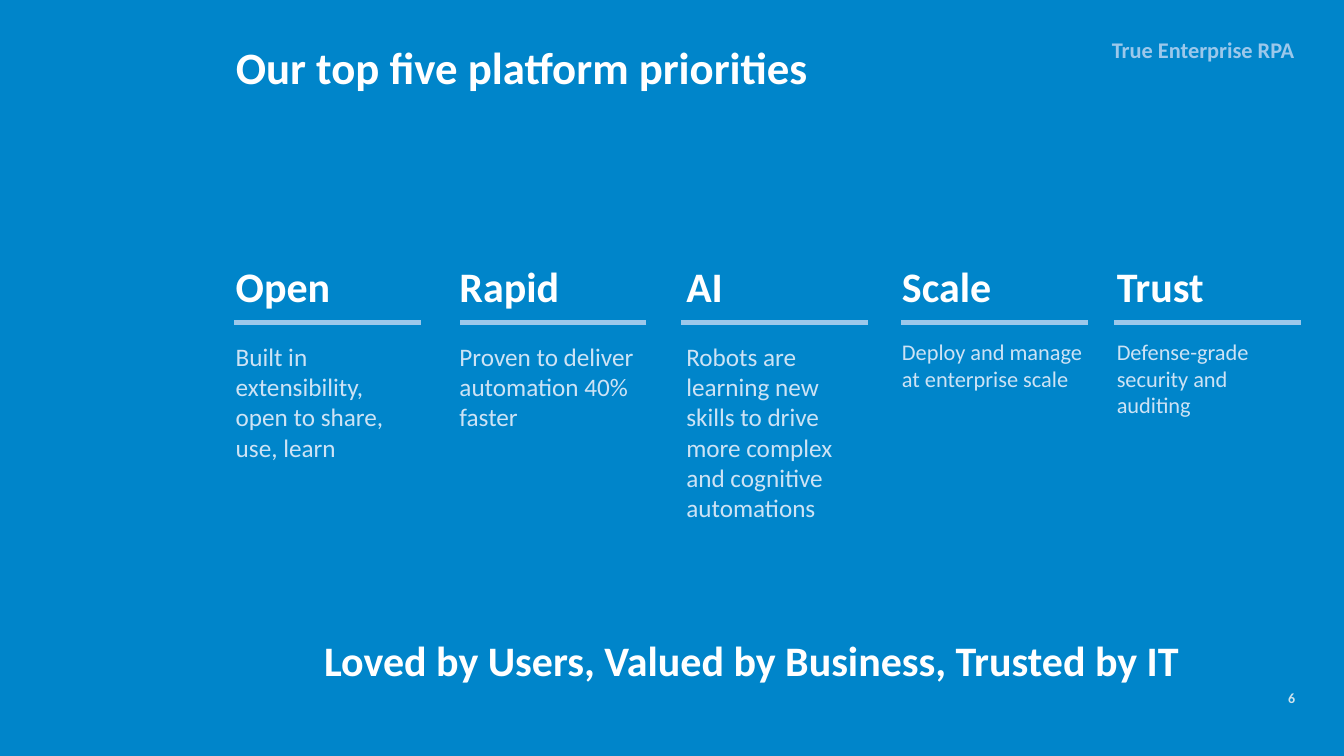
from dataclasses import dataclass
from lxml.etree import SubElement as Sub
from pptx import Presentation
from pptx.dml.color import RGBColor as RGB
from pptx.enum.shapes import MSO_CONNECTOR as Conn
from pptx.enum.text import MSO_ANCHOR as Anchor, PP_ALIGN as Align
from pptx.oxml.ns import qn
from pptx.util import Pt

TITLE = "Our top five platform priorities"
TAG = "True Enterprise RPA"
CLAIM = "Loved by Users, Valued by Business, Trusted by IT"
PAGE = "6"
COLS = [
    ("Open", ["Built in extensibility, open to share, use, learn"], 18, 161.3, 140.4, 167),
    ("Rapid", ["Proven to deliver automation 40% faster"], 18, 321.1, 149.8, 328.3),
    ("AI", ["Robots are learning new",
            "skills to drive more complex and cognitive automations"], 18, 483.1, 149.8, 486.7),
    ("Scale", ["Deploy and manage at enterprise scale"], 16, 637.2, 151.9, 643.7),
    ("Trust", ["Defense-grade security and auditing"], 16, 790.6, 140.4, 795.6),
]


@dataclass(frozen=True)
class Theme:
    font: str = "Calibri"
    back: str = "0085CA"
    white: str = "FFFFFF"
    rule: str = "9CC8EB"
    body: str = "CDE3F5"
    page: str = "CEE3ED"
    title: int = 32
    head: int = 30
    tag: int = 16
    num: int = 10


T = Theme()
TOP, TALL = 182.2, 152.6
RULE_Y, RULE_W = 230.4, 133.4
LINE = 1.22


def add_run(para, text, size, color, bold=True):
    run = para.add_run()
    run.text = text
    font = run.font
    font.name, font.size, font.bold = T.font, Pt(size), bold
    font.color.rgb = RGB.from_string(color)


def add_box(slide, left, top, width, height):
    frame = slide.shapes.add_textbox(Pt(left), Pt(top), Pt(width), Pt(height)).text_frame
    frame.word_wrap = True
    return frame


def add_label(slide, text, spot, size, color, align):
    frame = add_box(slide, *spot)
    para = frame.paragraphs[0]
    para.alignment = align
    add_run(para, text, size, color)
    return frame


def add_title(slide):
    shape = slide.shapes.title
    shape.left, shape.top, shape.width, shape.height = map(Pt, (161.3, 28.8, 567.4, 42.5))
    frame = shape.text_frame
    frame.word_wrap = True
    frame.vertical_anchor = Anchor.TOP
    para = frame.paragraphs[0]
    para.alignment, para.line_spacing = Align.LEFT, 0.9
    add_run(para, TITLE, T.title, T.white)


def add_rule(slide, left):
    rule = slide.shapes.add_connector(
        Conn.STRAIGHT, Pt(left + RULE_W), Pt(RULE_Y), Pt(left), Pt(RULE_Y))
    rule.line.color.rgb = RGB.from_string(T.rule)
    rule.line.width = Pt(3)
    Sub(rule._element.spPr, qn("a:effectLst"))


def add_col(slide, head, lines, size, left, width, start):
    add_rule(slide, start)
    frame = add_box(slide, left, TOP, width, TALL)
    add_run(frame.paragraphs[0], head, T.head, T.white)
    para = frame.add_paragraph()
    para.space_before = Pt(round(size * LINE, 1))
    for i, line in enumerate(lines):
        if i:
            para.add_line_break()
        add_run(para, line, size, T.body, False)


def main():
    deck = Presentation()
    deck.slide_width, deck.slide_height = Pt(960), Pt(540)
    slide = deck.slides.add_slide(deck.slide_layouts[5])
    fill = slide.background.fill
    fill.solid()
    fill.fore_color.rgb = RGB.from_string(T.back)
    add_title(slide)
    add_label(slide, TAG, (675.4, 22.3, 256.3, 24.5), T.tag, T.rule, Align.RIGHT)
    for col in COLS:
        add_col(slide, *col)
    add_label(slide, CLAIM, (193.7, 450, 686.9, 58.3), T.head, T.white, Align.CENTER)
    num = add_label(slide, PAGE, (883.4, 487.4, 51.1, 22.3), T.num, T.page, Align.RIGHT)
    num.vertical_anchor = Anchor.MIDDLE
    num.margin_left = num.margin_right = Pt(9.4)
    deck.save("out.pptx")


if __name__ == "__main__":
    main()
